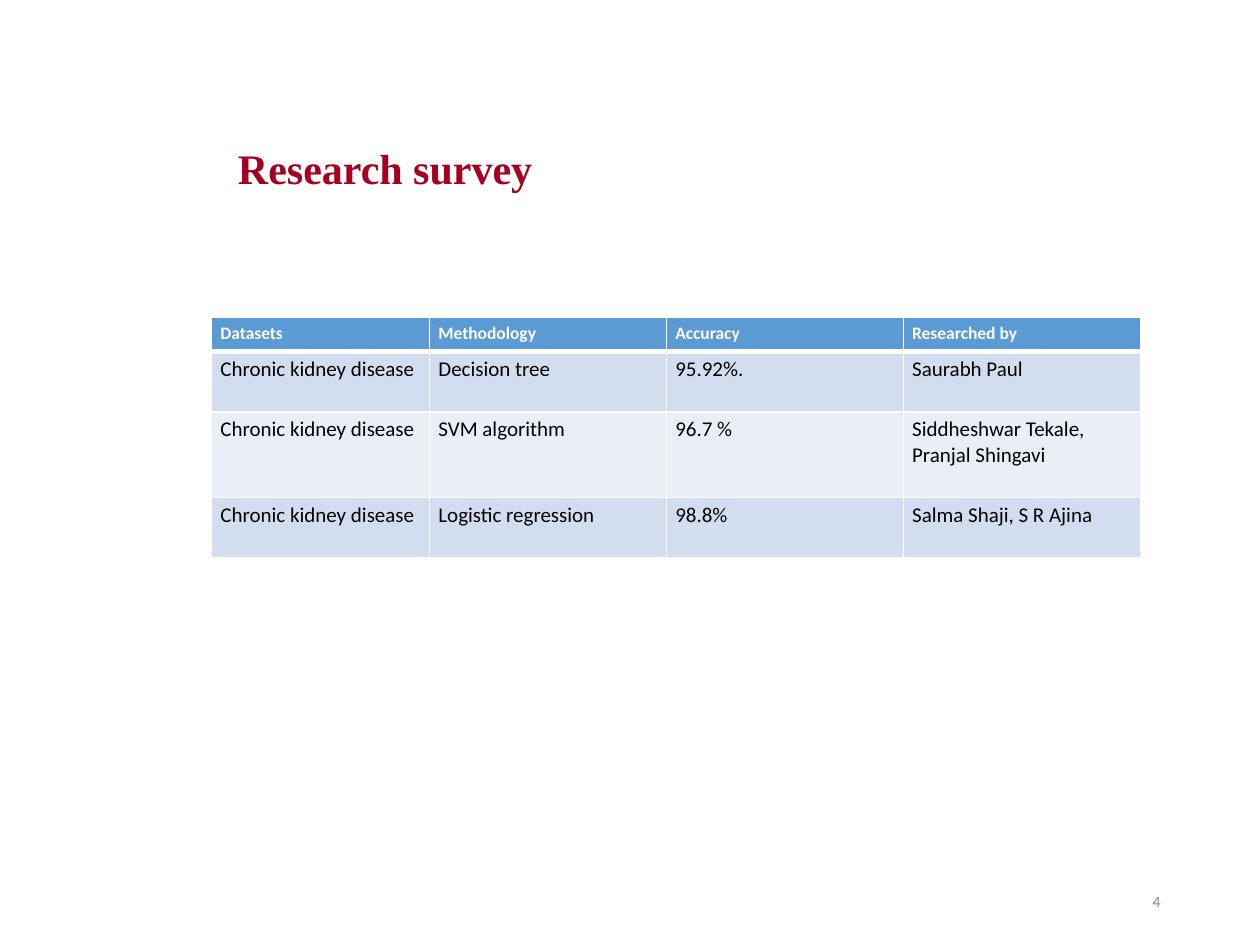
import pptx
import pptx.util
import pptx.dml.color
import pptx.enum.text
import pptx.oxml.ns
import lxml.etree

Inches = pptx.util.Inches
Pt = pptx.util.Pt
RGBColor = pptx.dml.color.RGBColor
PP_ALIGN = pptx.enum.text.PP_ALIGN
MSO_ANCHOR = pptx.enum.text.MSO_ANCHOR
qn = pptx.oxml.ns.qn

CRIMSON = RGBColor(0xA5, 0x00, 0x21)
GREY = RGBColor(0x8C, 0x8C, 0x8C)
WHITE = RGBColor(0xFF, 0xFF, 0xFF)
BLACK = RGBColor(0x00, 0x00, 0x00)
HEADER_BLUE = RGBColor(0x5B, 0x9B, 0xD5)
BANDS = (RGBColor(0xD2, 0xDE, 0xEF), RGBColor(0xEA, 0xEF, 0xF7))

TITLE = "Research survey"
PAGE_NUMBER = "4"
SURVEY = [
    ("Datasets", "Methodology", "Accuracy", "Researched by"),
    ("Chronic kidney disease", "Decision tree", "95.92%.", "Saurabh Paul"),
    ("Chronic kidney disease", "SVM algorithm", "96.7 %",
     "Siddheshwar Tekale, Pranjal Shingavi"),
    ("Chronic kidney disease", "Logistic regression", "98.8%",
     "Salma Shaji, S R Ajina"),
]
COLUMN_WIDTHS = (1.73, 1.88, 1.88, 1.88)
ROW_HEIGHTS = (0.27, 0.48, 0.68, 0.48)


def write(frame, text, size, color, font="Calibri", bold=False,
          align=PP_ALIGN.LEFT, line_spacing=None, space_after=None):
    frame.word_wrap = True
    paragraph = frame.paragraphs[0]
    paragraph.alignment = align
    if line_spacing is not None:
        paragraph.line_spacing = line_spacing
    if space_after is not None:
        paragraph.space_after = Pt(space_after)
    run = paragraph.add_run()
    run.text = text
    run.font.size = Pt(size)
    run.font.name = font
    run.font.bold = bold
    run.font.color.rgb = color


def add_label(slide, box, text, **style):
    frame = slide.shapes.add_textbox(*map(Inches, box)).text_frame
    frame.vertical_anchor = MSO_ANCHOR.MIDDLE
    write(frame, text, **style)


def set_borders(cell, widths):
    properties = cell._tc.get_or_add_tcPr()
    for side, width in widths.items():
        line = lxml.etree.SubElement(properties, qn(f"a:ln{side}"), w=str(Pt(width)))
        fill = lxml.etree.SubElement(line, qn("a:solidFill"))
        lxml.etree.SubElement(fill, qn("a:srgbClr"), val=str(WHITE))


def add_survey(slide):
    box = (1.68, 2.52, sum(COLUMN_WIDTHS), sum(ROW_HEIGHTS))
    survey = slide.shapes.add_table(
        len(SURVEY), len(COLUMN_WIDTHS), *map(Inches, box)).table
    for column, width in zip(survey.columns, COLUMN_WIDTHS):
        column.width = Inches(width)
    for row, height in zip(survey.rows, ROW_HEIGHTS):
        row.height = Inches(height)
    for r, entries in enumerate(SURVEY):
        header = r == 0
        for c, text in enumerate(entries):
            cell = survey.cell(r, c)
            cell.margin_left = cell.margin_right = Inches(0.07)
            cell.margin_top = cell.margin_bottom = Inches(0.04)
            set_borders(cell, {"L": 1, "R": 1, "T": 3 if r == 1 else 1,
                               "B": 3 if header else 1})
            cell.fill.solid()
            cell.fill.fore_color.rgb = HEADER_BLUE if header else BANDS[(r - 1) % 2]
            write(cell.text_frame, text, size=10 if header else 12,
                  color=WHITE if header else BLACK, bold=header)


def main():
    deck = pptx.Presentation()
    deck.slide_width = Inches(10)
    deck.slide_height = Inches(7.5)
    slide = deck.slides.add_slide(deck.slide_layouts[6])
    add_label(slide, (7.06, 6.95, 2.25, 0.4), PAGE_NUMBER,
              size=9, color=GREY, align=PP_ALIGN.RIGHT)
    add_label(slide, (1.79, 1.08, 4.99, 0.47), TITLE, size=24, color=CRIMSON,
              font="Times New Roman", bold=True, line_spacing=1.07, space_after=3.4)
    add_survey(slide)
    deck.save("out.pptx")


if __name__ == "__main__":
    main()
